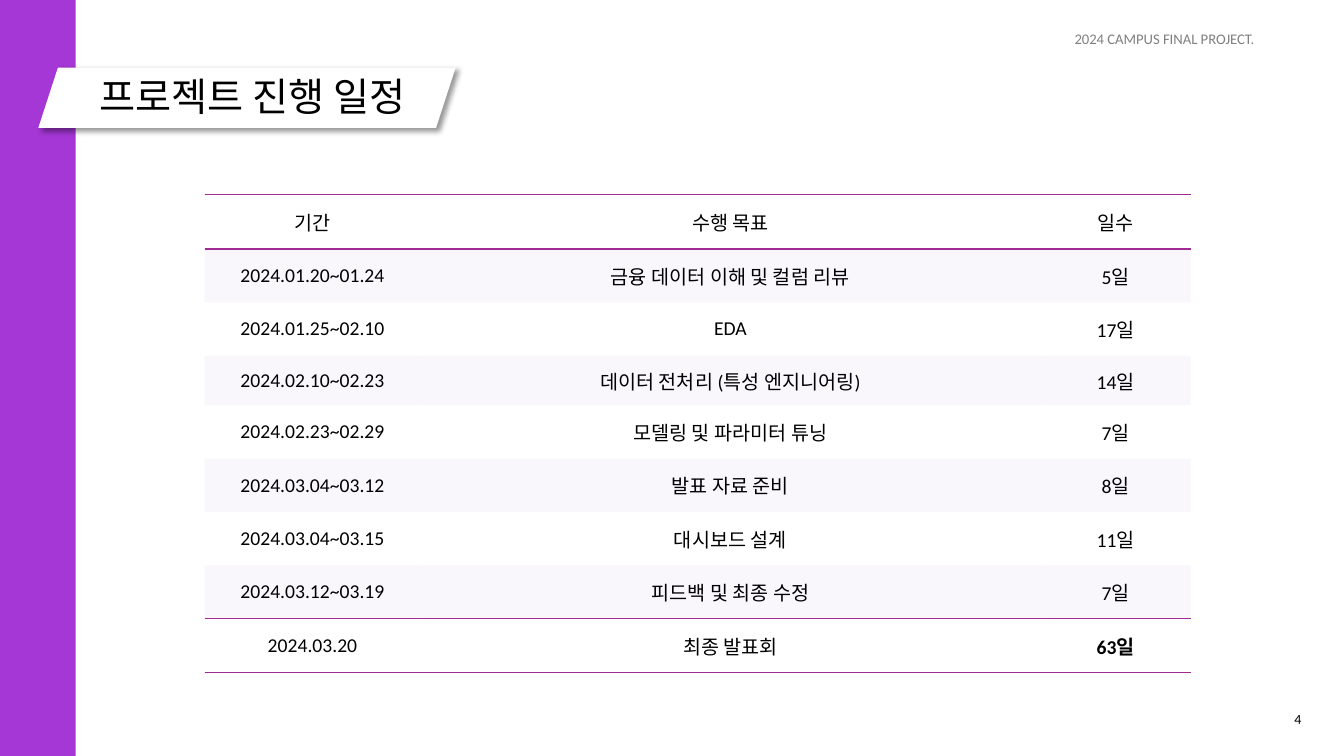
import pptx
import pptx.util
import pptx.dml.color
import pptx.enum.shapes
import pptx.enum.text
import pptx.oxml
import pptx.oxml.ns
from lxml import etree

Inches = pptx.util.Inches
Pt = pptx.util.Pt
Align = pptx.enum.text.PP_ALIGN
Anchor = pptx.enum.text.MSO_ANCHOR
Shape = pptx.enum.shapes.MSO_SHAPE
qn = pptx.oxml.ns.qn

FONT = "Calibri"
PURPLE = "A437D5"
RULE = "A02B93"
BAND = "E1D4F4"
NO_STYLE = "{2D5ABB26-0587-4C30-8999-92F81FD0307C}"

COLUMN_WIDTHS = [2.14, 6.15, 1.49]
ROW_HEIGHTS = [0.54, 0.53, 0.53, 0.49] + [0.53] * 5
SCHEDULE = [
    ("기간", "수행 목표", "일수"),
    ("2024.01.20~01.24", "금융 데이터 이해 및 컬럼 리뷰", "5일"),
    ("2024.01.25~02.10", "EDA", "17일"),
    ("2024.02.10~02.23", "데이터 전처리 (특성 엔지니어링)", "14일"),
    ("2024.02.23~02.29", "모델링 및 파라미터 튜닝", "7일"),
    ("2024.03.04~03.12", "발표 자료 준비", "8일"),
    ("2024.03.04~03.15", "대시보드 설계", "11일"),
    ("2024.03.12~03.19", "피드백 및 최종 수정", "7일"),
    ("2024.03.20", "최종 발표회", "63일"),
]


def rgb(value):
    return pptx.dml.color.RGBColor.from_string(value)


def write(frame, text, size, color="000000", align=Align.LEFT, bold=False):
    frame.text = text
    para = frame.paragraphs[0]
    para.alignment = align
    font = para.runs[0].font
    font.name, font.size, font.bold = FONT, Pt(size), bold
    font.color.rgb = rgb(color)
    return para


def add_solid(slide, preset, box, color):
    shape = slide.shapes.add_shape(preset, *map(Inches, box))
    shape.fill.solid()
    shape.fill.fore_color.rgb = rgb(color)
    shape.line.fill.background()
    shape.shadow.inherit = False
    return shape


def add_label(slide, box, text, size, color, align):
    label = slide.shapes.add_textbox(*map(Inches, box))
    label.text_frame.word_wrap = True
    return write(label.text_frame, text, size, color, align)


def add_drop_shadow(shape):
    effects = shape.element.spPr.find(qn("a:effectLst"))
    shadow = etree.SubElement(effects, qn("a:outerShdw"), blurRad=str(Pt(4)),
                              dist=str(Pt(3)), dir="2700000", algn="tl", rotWithShape="0")
    color = etree.SubElement(shadow, qn("a:srgbClr"), val="000000")
    etree.SubElement(color, qn("a:alpha"), val="40000")


def add_title_banner(slide, box, text):
    left, top, width, height = box
    banner = add_solid(slide, Shape.PARALLELOGRAM, box, "FFFFFF")
    banner.adjustments[0] = 0.325
    add_drop_shadow(banner)
    title = slide.shapes.title
    title.left, title.top = Inches(left + 0.51), Inches(top)
    title.width, title.height = Inches(width - 0.68), Inches(height - 0.03)
    frame = title.text_frame
    frame.word_wrap = True
    frame.auto_size = pptx.enum.text.MSO_AUTO_SIZE.NONE
    frame.vertical_anchor = Anchor.TOP
    write(frame, text, 28)
    # The title must lie in front of its banner.
    banner.element.addnext(title.element)


def add_rules(cell):
    """Draw the lines above and below a cell; call before filling it."""
    properties = cell._tc.get_or_add_tcPr()
    for side in ("a:lnT", "a:lnB"):
        line = etree.SubElement(properties, qn(side), w=str(Pt(1)))
        fill = etree.SubElement(line, qn("a:solidFill"))
        etree.SubElement(fill, qn("a:srgbClr"), val=RULE)


def fill_band(cell):
    cell.fill.solid()
    cell.fill.fore_color.rgb = rgb(BAND)
    color = cell._tc.tcPr.find(".//" + qn("a:srgbClr"))
    etree.SubElement(color, qn("a:alpha"), val="20000")


def add_schedule(slide, left, top):
    last_row, last_column = len(SCHEDULE) - 1, len(COLUMN_WIDTHS) - 1
    graphic = slide.shapes.add_table(
        last_row + 1, last_column + 1, Inches(left), Inches(top),
        Inches(sum(COLUMN_WIDTHS)), Inches(sum(ROW_HEIGHTS)))
    graphic.element.find(".//" + qn("a:tableStyleId")).text = NO_STYLE
    table = graphic.table
    table.horz_banding = False
    for column, width in zip(table.columns, COLUMN_WIDTHS):
        column.width = Inches(width)
    for row, height in zip(table.rows, ROW_HEIGHTS):
        row.height = Inches(height)
    for r, entries in enumerate(SCHEDULE):
        for c, text in enumerate(entries):
            cell = table.cell(r, c)
            cell.vertical_anchor = Anchor.MIDDLE
            is_total = (r, c) == (last_row, last_column)
            write(cell.text_frame, text, 14, align=Align.CENTER, bold=is_total)
            if r in (0, last_row):
                add_rules(cell)
            if r % 2:
                fill_band(cell)
            else:
                cell.fill.background()


def build_schedule_slide(deck):
    slide = deck.slides.add_slide(deck.slide_layouts.get_by_name("Title Only"))
    add_schedule(slide, 2.03, 1.93)
    add_solid(slide, Shape.RECTANGLE, (0, 0, 0.75, 7.5), PURPLE)
    add_title_banner(slide, (0.38, 0.67, 4.14, 0.6), "프로젝트 진행 일정")
    number = add_label(slide, (12.74, 6.92, 0.3, 0.33), "4", 10, "000000", Align.JUSTIFY)
    number.line_spacing = 1.5
    add_label(slide, (10.04, 0.25, 3.02, 0.29), "2024 CAMPUS FINAL PROJECT.",
              10.5, "808080", Align.CENTER)


def main():
    deck = pptx.Presentation()
    deck.slide_width, deck.slide_height = Inches(13.33), Inches(7.5)
    build_schedule_slide(deck)
    deck.save("out.pptx")


if __name__ == "__main__":
    main()
